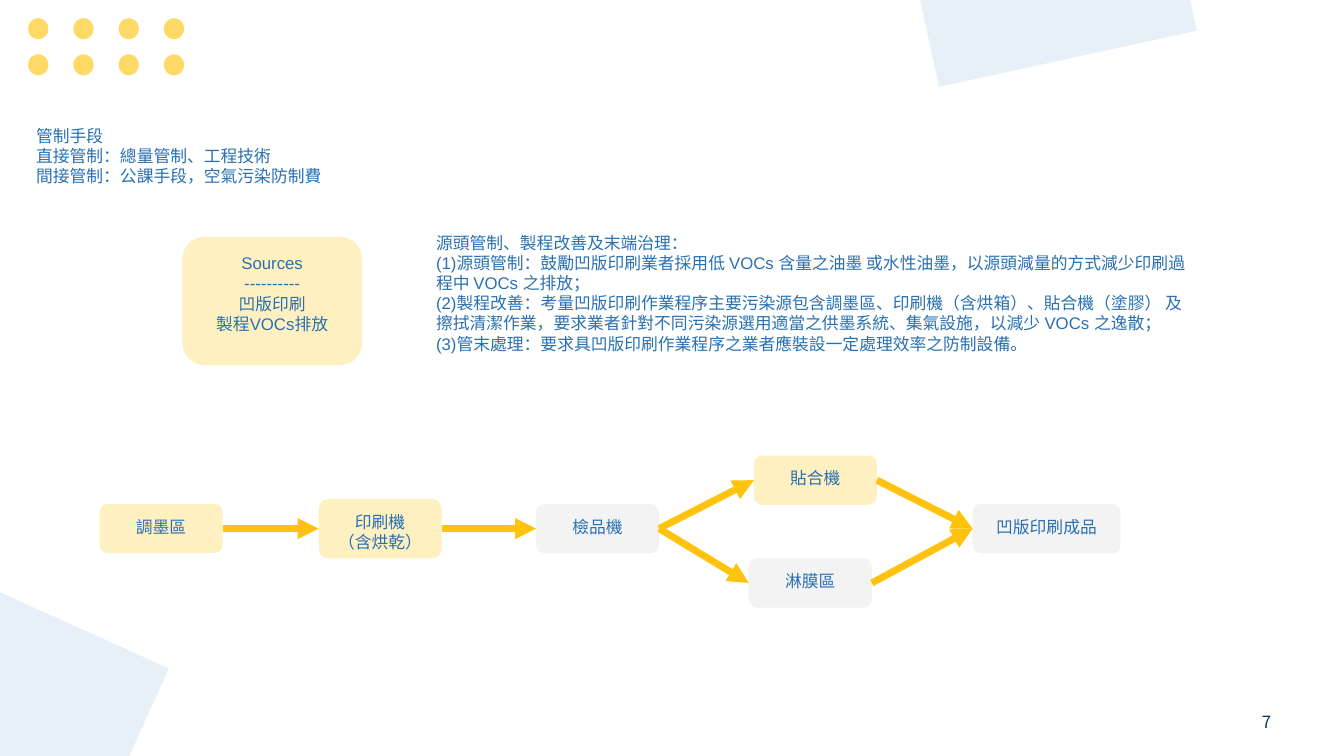
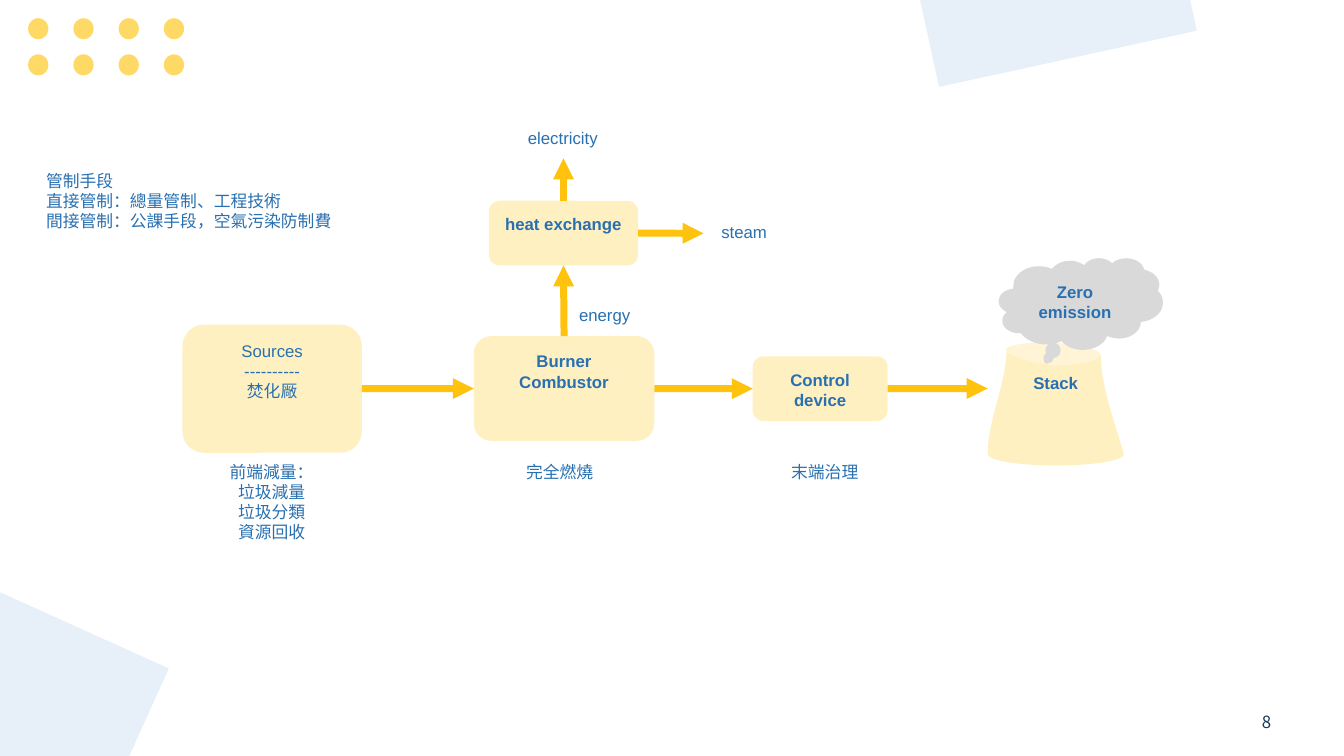
from itertools import product

from lxml.etree import SubElement
from pptx import Presentation
from pptx.dml.color import RGBColor
from pptx.enum.shapes import MSO_CONNECTOR as Connector
from pptx.enum.shapes import MSO_SHAPE as Shape
from pptx.enum.text import MSO_ANCHOR as Anchor
from pptx.enum.text import MSO_AUTO_SIZE as AutoSize
from pptx.enum.text import PP_ALIGN as Align
from pptx.oxml.ns import qn
from pptx.util import Cm, Pt

BLUE = RGBColor(0x29, 0x70, 0xB1)
NAVY = RGBColor(0x14, 0x38, 0x58)
CREAM = RGBColor(0xFF, 0xF0, 0xC2)
PALE_CREAM = RGBColor(0xFF, 0xF4, 0xD5)
LIGHT_GRAY = RGBColor(0xF3, 0xF3, 0xF3)
CLOUD_GRAY = RGBColor(0xD9, 0xD9, 0xD9)
AMBER = RGBColor(0xFF, 0xC3, 0x0D)
DOT_YELLOW = RGBColor(0xFF, 0xD9, 0x66)
PALE_BLUE = RGBColor(0xE7, 0xF0, 0xF8)

FONT = "Arial"
NUMBER_FONT = "Noto Sans CJK SC"
INSET = 0.25
TOP, LEFT, BOTTOM, RIGHT = range(4)  # connection sites of a box

MEASURES = "管制手段\n直接管制：總量管制、工程技術\n間接管制：公課手段，空氣污染防制費"

CONTROL_STEPS = (
    "源頭管制、製程改善及末端治理：\n"
    "(1)源頭管制：鼓勵凹版印刷業者採用低 VOCs 含量之油墨 或水性油墨，"
    "以源頭減量的方式減少印刷過程中 VOCs 之排放；\n"
    "(2)製程改善：考量凹版印刷作業程序主要污染源包含調墨區、印刷機（含烘箱）、"
    "貼合機（塗膠） 及擦拭清潔作業，要求業者針對不同污染源選用適當之供墨系統、"
    "集氣設施，以減少 VOCs 之逸散；\n"
    "(3)管末處理：要求具凹版印刷作業程序之業者應裝設一定處理效率之防制設備。"
)

# Each outline is a start point and cubic curves (two controls and an end), in cm.
STACK_BODY = ((25.37, 8.79), [
    ((25.37, 8.97), (26.21, 9.19), (26.62, 9.19)),
    ((27, 9.22), (27.74, 9.09), (27.74, 8.94)),
    ((27.74, 9.78), (28.19, 10.92), (28.32, 11.43)),
    ((28.35, 11.61), (27.56, 11.73), (26.62, 11.73)),
    ((25.65, 11.73), (24.89, 11.61), (24.89, 11.43)),
    ((24.89, 10.59), (25.37, 9.65), (25.37, 8.79)),
])
STACK_LID = ((25.35, 8.81), [
    ((25.35, 8.66), (26.21, 8.61), (26.62, 8.64)),
    ((27, 8.66), (27.74, 8.79), (27.74, 8.94)),
    ((27.74, 9.09), (27, 9.22), (26.62, 9.19)),
    ((26.21, 9.19), (25.35, 8.97), (25.35, 8.81)),
])


def write_text(shape, text, *, color=BLUE, font=FONT, bold=False,
               align=Align.CENTER, anchor=Anchor.TOP, top_inset=INSET):
    """Fill a shape with formatted text, one paragraph per line."""
    frame = shape.text_frame
    frame.text = text
    frame.word_wrap = True
    frame.auto_size = AutoSize.NONE
    frame.vertical_anchor = anchor
    frame.margin_left = frame.margin_right = frame.margin_bottom = Cm(INSET)
    frame.margin_top = Cm(top_inset)
    for paragraph in frame.paragraphs:
        paragraph.alignment = align
        for run in paragraph.runs:
            run.font.name = font
            run.font.size = Pt(12)
            run.font.bold = bold
            run.font.color.rgb = color


def paint(shape, fill):
    """Give a shape a plain fill without outline or shadow."""
    shape.shadow.inherit = False
    shape.fill.solid()
    shape.fill.fore_color.rgb = fill
    shape.line.fill.background()


def add_box(slide, left, top, width, height, text="", *, kind=Shape.ROUNDED_RECTANGLE,
            fill=CREAM, **text_format):
    """Add a filled preset shape, with text when given."""
    shape = slide.shapes.add_shape(kind, Cm(left), Cm(top), Cm(width), Cm(height))
    paint(shape, fill)
    if text:
        write_text(shape, text, **text_format)
    return shape


def add_label(slide, left, top, width, height, text, **text_format):
    """Add a text box."""
    label = slide.shapes.add_textbox(Cm(left), Cm(top), Cm(width), Cm(height))
    write_text(label, text, **text_format)


def add_arrow(slide, source, source_site, target=None, target_site=LEFT, end=(0, 0)):
    """Draw an arrow from a box to another box, or to a free end point."""
    arrow = slide.shapes.add_connector(Connector.STRAIGHT, 0, 0, Cm(end[0]), Cm(end[1]))
    arrow.begin_connect(source, source_site)
    if target is not None:
        arrow.end_connect(target, target_site)
    arrow.line.color.rgb = AMBER
    arrow.line.width = Pt(5)
    properties = arrow.element.spPr
    SubElement(properties.get_or_add_ln(), qn("a:tailEnd"), type="triangle")
    SubElement(properties, qn("a:effectLst"))


def curve_points(start, curves, steps=12):
    """Return points along a chain of cubic curves."""
    points = []
    for first, second, end in curves:
        for step in range(1, steps + 1):
            t = step / steps
            weights = ((1 - t) ** 3, 3 * t * (1 - t) ** 2, 3 * t * t * (1 - t), t ** 3)
            corners = (start, first, second, end)
            points.append(tuple(
                Cm(sum(weight * corner[axis] for weight, corner in zip(weights, corners)))
                for axis in (0, 1)))
        start = end
    return points


def add_outline(slide, outline, fill):
    """Add a filled freeform bounded by curves."""
    start, curves = outline
    builder = slide.shapes.build_freeform(Cm(start[0]), Cm(start[1]))
    builder.add_line_segments(curve_points(start, curves), close=True)
    shape = builder.convert_to_shape()
    paint(shape, fill)
    return shape


def decorate_layout(layout, slide):
    """Draw the dots and tilted panels, then move them to the shared layout."""
    decorations = [
        add_box(slide, 0.71 + 1.14 * column, 0.46 + 0.91 * row, 0.51, 0.53,
                kind=Shape.OVAL, fill=DOT_YELLOW)
        for row, column in product(range(2), range(4))
    ]
    for left, top, angle in ((23.14, -2.69, 347.7), (-2.97, 15.29, 24.3)):
        panel = add_box(slide, left, top, 6.65, 4.22, kind=Shape.RECTANGLE, fill=PALE_BLUE)
        panel.rotation = angle
        decorations.append(panel)
    for number, shape in enumerate(decorations, 100):
        shape.element.nvSpPr.cNvPr.id = number
        layout.shapes.element.append(shape.element)


def add_frame(slide, number, left, top):
    """Place the heading with the control measures and the page number."""
    title = slide.shapes.title
    title.left, title.top, title.width, title.height = Cm(left), Cm(top), Cm(8.99), Cm(2.06)
    write_text(title, MEASURES, align=Align.LEFT)
    add_label(slide, 30, 17.68, 3.84, 1.02, str(number), color=NAVY,
              font=NUMBER_FONT, anchor=Anchor.MIDDLE)


def build_printing_slide(slide):
    """Show the gravure printing process and its controls."""
    add_frame(slide, 7, 0.66, 2.92)
    add_box(slide, 4.6, 5.97, 4.52, 3.23, "Sources\n----------\n凹版印刷\n製程VOCs排放")
    add_label(slide, 10.74, 5.61, 19.63, 3.58, CONTROL_STEPS, align=Align.LEFT)

    ink = add_box(slide, 2.51, 12.7, 3.1, 1.24, "調墨區")
    press = add_box(slide, 8.03, 12.57, 3.1, 1.5, "印刷機\n（含烘乾）")
    laminator = add_box(slide, 19, 11.48, 3.1, 1.24, "貼合機")
    inspection = add_box(slide, 13.51, 12.7, 3.1, 1.24, "檢品機", fill=LIGHT_GRAY)
    finished = add_box(slide, 24.51, 12.7, 3.73, 1.24, "凹版印刷成品", fill=LIGHT_GRAY)
    coating = add_box(slide, 18.87, 14.07, 3.1, 1.24, "淋膜區", fill=LIGHT_GRAY)
    for source, target in ((ink, press), (press, inspection), (inspection, laminator),
                           (inspection, coating), (laminator, finished),
                           (coating, finished)):
        add_arrow(slide, source, RIGHT, target)


def build_incinerator_slide(slide):
    """Show the incinerator flow from sources to stack."""
    add_frame(slide, 8, 0.91, 4.04)
    sources = add_box(slide, 4.6, 8.18, 4.52, 3.23, "Sources\n----------\n焚化厰")
    burner = add_box(slide, 11.94, 8.47, 4.55, 2.64, "Burner\nCombustor", bold=True)
    exchanger = add_box(slide, 12.32, 5.06, 3.76, 1.63, "heat exchange", bold=True)
    control = add_box(slide, 18.97, 8.98, 3.4, 1.63, "Control\ndevice", bold=True)
    stack = add_outline(slide, STACK_BODY, CREAM)
    write_text(stack, "Stack", bold=True, top_inset=0.6)
    add_outline(slide, STACK_LID, PALE_CREAM)

    add_arrow(slide, sources, RIGHT, burner)
    add_arrow(slide, burner, RIGHT, control)
    add_arrow(slide, control, RIGHT, end=(24.89, 9.79))
    add_arrow(slide, burner, TOP, exchanger, BOTTOM)
    add_arrow(slide, exchanger, TOP, end=(14.2, 3.99))
    add_arrow(slide, exchanger, RIGHT, end=(17.73, 5.88))
    add_box(slide, 25.17, 6.5, 4.14, 2.31, "Zero emission", kind=Shape.CLOUD_CALLOUT,
            fill=CLOUD_GRAY, bold=True)

    add_label(slide, 13.74, 7.42, 3, 0.76, "energy")
    for left, top, height, text in (
            (12.37, 2.97, 1.02, "electricity"),
            (16.94, 5.33, 0.76, "steam"),
            (5.03, 11.38, 2.57, "前端減量：\n垃圾減量\n垃圾分類\n資源回收"),
            (12.29, 11.38, 1.02, "完全燃燒"),
            (18.97, 11.38, 1.02, "末端治理")):
        add_label(slide, left, top, 3.63, height, text)


def main():
    """Build and save the presentation."""
    presentation = Presentation()
    presentation.slide_width, presentation.slide_height = Cm(33.87), Cm(19.05)
    layout = presentation.slide_layouts.get_by_name("Title Only")
    printing_slide = presentation.slides.add_slide(layout)
    decorate_layout(layout, printing_slide)
    build_printing_slide(printing_slide)
    build_incinerator_slide(presentation.slides.add_slide(layout))
    presentation.save("out.pptx")


main()
